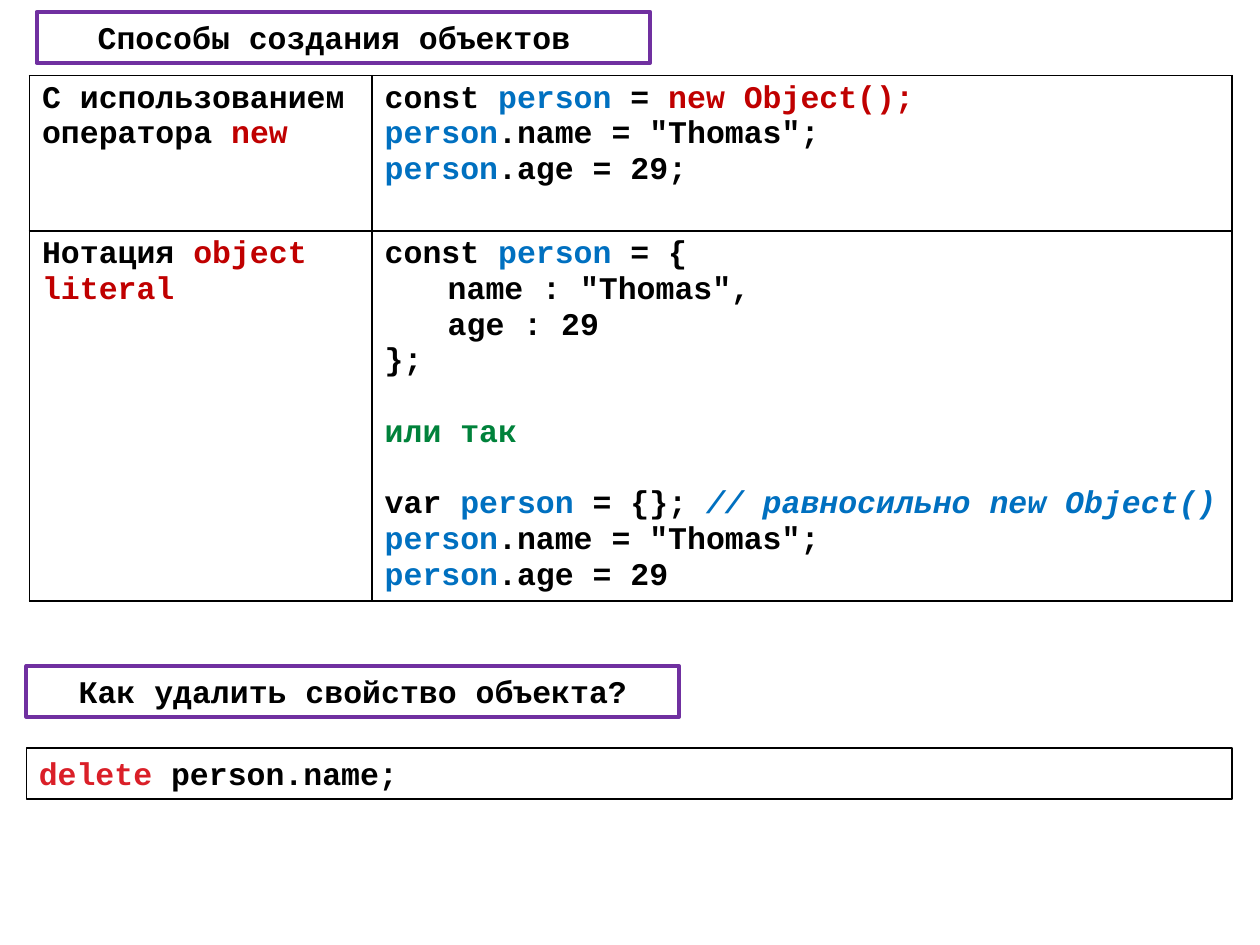
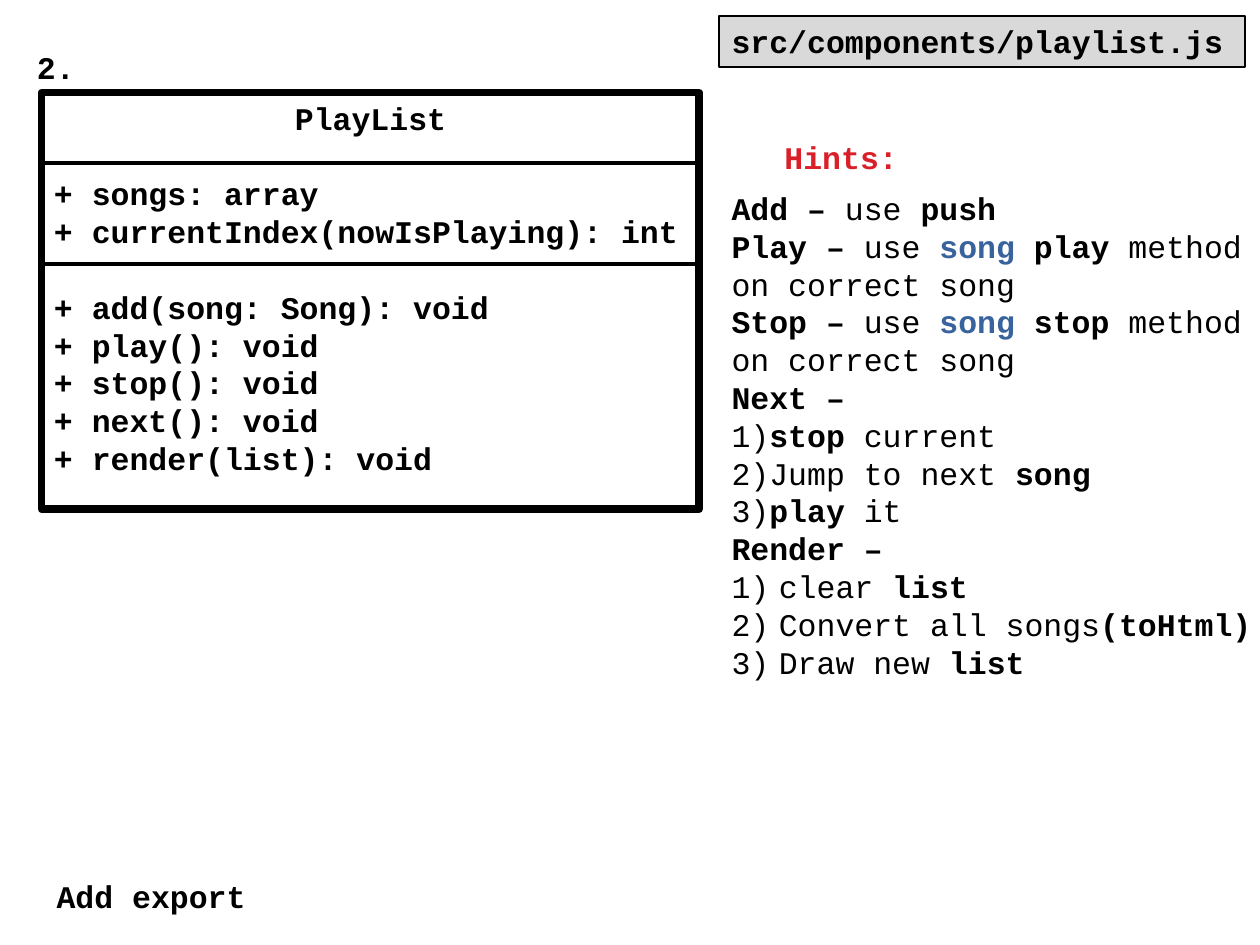
from dataclasses import dataclass, field

from lxml.etree import SubElement
from pptx import Presentation
from pptx.dml.color import RGBColor
from pptx.enum.shapes import MSO_CONNECTOR, MSO_SHAPE
from pptx.enum.text import MSO_ANCHOR, MSO_AUTO_SIZE, PP_ALIGN
from pptx.oxml import parse_xml
from pptx.oxml.ns import nsdecls, qn
from pptx.util import Inches, Pt

WIDTH, HEIGHT = Inches(10), Inches(7.5)
COLS, ROWS = 100, 75


@dataclass(frozen=True)
class Theme:
    font: str = "Courier New"
    size: float = 18
    gap: float = 21.6
    table_gap: float = 20.4
    ink: str = "000000"
    frame: str = "7030A0"
    band: str = "D9D9D9"
    thin: float = 1
    medium: float = 2.25
    thick: float = 4.33
    styles: dict = field(default_factory=lambda: {
        "code": ("000000", True, False),
        "plain": ("000000", False, False),
        "name": ("0070C0", True, False),
        "note": ("0070C0", True, True),
        "key": ("C00000", True, False),
        "alert": ("DA1F28", True, False),
        "or": ("00823B", True, False),
        "song": ("39639D", True, False),
    })


THEME = Theme()


@dataclass
class Para:
    runs: list
    gap: float = 0
    align: PP_ALIGN = PP_ALIGN.LEFT
    numbered: bool = False


def line(*runs, **options):
    return Para([(r, "code") if isinstance(r, str) else r for r in runs], **options)


def x(cols):
    return int(WIDTH * cols / COLS)


def y(rows):
    return int(HEIGHT * rows / ROWS)


def area(left, top, width, height):
    return x(left), y(top), x(width), y(height)


def set_marker(p, numbered):
    pPr = p._p.get_or_add_pPr()
    indent = x(3.75) if numbered else 0
    pPr.set("marL", str(indent))
    pPr.set("indent", str(-indent))
    if numbered:
        SubElement(pPr, qn("a:buFont")).set("typeface", THEME.font)
        SubElement(pPr, qn("a:buAutoNum")).set("type", "arabicParenR")
    else:
        SubElement(pPr, qn("a:buNone"))


def set_tab(p):
    tabs = SubElement(p._p.get_or_add_pPr(), qn("a:tabLst"))
    tab = SubElement(tabs, qn("a:tab"))
    tab.set("pos", str(x(10)))
    tab.set("algn", "l")


def write(tf, paras):
    for i, para in enumerate(paras):
        p = tf.paragraphs[0] if i == 0 else tf.add_paragraph()
        p.alignment = para.align
        p.line_spacing = 1.0
        p.space_before, p.space_after = Pt(para.gap), Pt(0)
        set_marker(p, para.numbered)
        if para.runs[0][0].startswith("\t"):
            set_tab(p)
        for text, style in para.runs:
            colour, bold, italic = THEME.styles[style]
            r = p.add_run()
            r.text = text
            r.font.name, r.font.size = THEME.font, Pt(THEME.size)
            r.font.bold, r.font.italic = bold, italic
            r.font.color.rgb = RGBColor.from_string(colour)


def fill_frame(sp, paras, wrap=True):
    tf = sp.text_frame
    tf.auto_size = MSO_AUTO_SIZE.NONE
    tf.word_wrap = wrap
    tf.vertical_anchor = MSO_ANCHOR.TOP
    tf.margin_left = tf.margin_right = x(1)
    tf.margin_top = tf.margin_bottom = y(0.5)
    write(tf, paras)


def outline(sp, colour, width, fill=None):
    sp.line.color.rgb = RGBColor.from_string(colour)
    sp.line.width = Pt(width)
    if fill:
        sp.fill.solid()
        sp.fill.fore_color.rgb = RGBColor.from_string(fill)
    else:
        sp.fill.background()


def place(sp, box, paras, wrap=True):
    sp.left, sp.top, sp.width, sp.height = area(*box)
    fill_frame(sp, paras, wrap)
    return sp


def add_box(shapes, box, paras, colour, width):
    sp = shapes.add_shape(MSO_SHAPE.RECTANGLE, *area(*box))
    sp.shadow.inherit = False
    outline(sp, colour, width)
    fill_frame(sp, paras)


def add_label(s, box, *runs):
    fill_frame(s.shapes.add_textbox(*area(*box)), [line(*runs)], wrap=False)


def add_rule(shapes, left, right, top):
    c = shapes.add_connector(MSO_CONNECTOR.STRAIGHT, x(left), y(top), x(right), y(top))
    c.line.color.rgb = RGBColor.from_string(THEME.ink)
    c.line.width = Pt(THEME.medium)
    SubElement(c._element.spPr, qn("a:effectLst"))


def border(cell):
    tcPr = cell._tc.get_or_add_tcPr()
    for i, side in enumerate("LRTB"):
        tcPr.insert(i, parse_xml(
            f'<a:ln{side} {nsdecls("a")} w="{Pt(THEME.thin)}"><a:solidFill>'
            f'<a:srgbClr val="{THEME.ink}"/></a:solidFill></a:ln{side}>'))


def add_code_table(s, left, top, widths, heights, rows):
    box = area(left, top, sum(widths), sum(heights))
    table = s.shapes.add_table(len(rows), len(widths), *box).table
    table.first_row = table.horz_banding = False
    for column, width in zip(table.columns, widths):
        column.width = x(width)
    for row, height, contents in zip(table.rows, heights, rows):
        row.height = y(height)
        for cell, paras in zip(row.cells, contents):
            cell.fill.background()
            border(cell)
            write(cell.text_frame, paras)


def objects_slide(prs):
    s = prs.slides.add_slide(prs.slide_layouts[5])
    person = ("person", "name")
    fields = line(person, '.name = "Thomas";')
    add_code_table(s, 2.34, 6, (27.2, 68.25), (12.35, 29.35), [
        ([line("С использованием"), line("оператора ", ("new", "key"))],
         [line("const ", person, " = ", ("new Object();", "key")),
          fields,
          line(person, ".age = 29;")]),
        ([line("Нотация ", ("object literal", "key"))],
         [line("const ", person, " = {"),
          line('\tname : "Thomas",'),
          line("\tage : 29"),
          line("};"),
          line(("или так", "or"), gap=THEME.table_gap),
          line("var ", person, " = {}; ",
               ("// равносильно new Object()", "note"), gap=THEME.table_gap),
          fields,
          line(person, ".age = 29")]),
    ])
    title = place(s.shapes.title, (2.9, 0.95, 48.7, 4.04),
                  [line("Способы создания объектов ", align=PP_ALIGN.CENTER)])
    outline(title, THEME.frame, THEME.medium)
    add_box(s.shapes, (2.1, 52.86, 51.8, 4.04),
            [line("Как удалить свойство объекта?", align=PP_ALIGN.CENTER)],
            THEME.frame, THEME.medium)
    add_box(s.shapes, (2.1, 59.36, 95.7, 4.04),
            [line(("delete", "alert"), " person.name;")], THEME.ink, THEME.thin)


def add_class_diagram(s, box, name, attributes, methods, rules):
    left, top, width, height = box
    shapes = s.shapes.add_group_shape().shapes
    paras = [line(name, align=PP_ALIGN.CENTER)]
    for members in (attributes, methods):
        paras += [line("+ " + m, gap=0 if i else THEME.gap)
                  for i, m in enumerate(members)]
    add_box(shapes, box, paras, THEME.ink, THEME.thick)
    for rule in rules:
        add_rule(shapes, left, left + width, rule)


def hints():
    def plain(text):
        return text, "plain"

    paras = [line("Add –", plain(" use "), "push")]
    for action in ("play", "stop"):
        paras += [line(f"{action.capitalize()} – ", plain("use "), ("song ", "song"),
                       action, plain(" method")),
                  line(plain("on correct song"))]
    paras += [line("Next – "),
              line(plain("1)"), "stop ", plain("current")),
              line(plain("2)Jump to next "), "song"),
              line(plain("3)"), "play", plain(" it")),
              line("Render – ")]
    steps = (("clear ", "list"), ("Convert all songs", "(toHtml)"), ("Draw new ", "list"))
    return paras + [line(plain(text), bold, numbered=True) for text, bold in steps]


def playlist_slide(prs):
    s = prs.slides.add_slide(prs.slide_layouts[1])
    title = place(s.shapes.title, (57.06, 1.26, 41.75, 4.04),
                  [line("src/components/playlist.js")])
    outline(title, THEME.ink, THEME.thin, THEME.band)
    add_label(s, (1.95, 3.3, 5, 4.04), "2.")
    add_class_diagram(
        s, (3.3, 7.35, 52.2, 33.05), "PlayList",
        ("songs: array", "currentIndex(nowIsPlaying): int"),
        ("add(song: Song): void", "play(): void", "stop(): void",
         "next(): void", "render(list): void"),
        (12.95, 20.95))
    add_label(s, (61.27, 10.5, 11.1, 4.04), ("Hints:", "alert"))
    place(s.placeholders[1], (57.06, 14.5, 43.5, 40.4), hints(), wrap=False)
    add_label(s, (3.5, 69.1, 17.1, 4.04), "Add export")


def main():
    prs = Presentation()
    prs.slide_width, prs.slide_height = WIDTH, HEIGHT
    objects_slide(prs)
    playlist_slide(prs)
    prs.save("out.pptx")


main()
